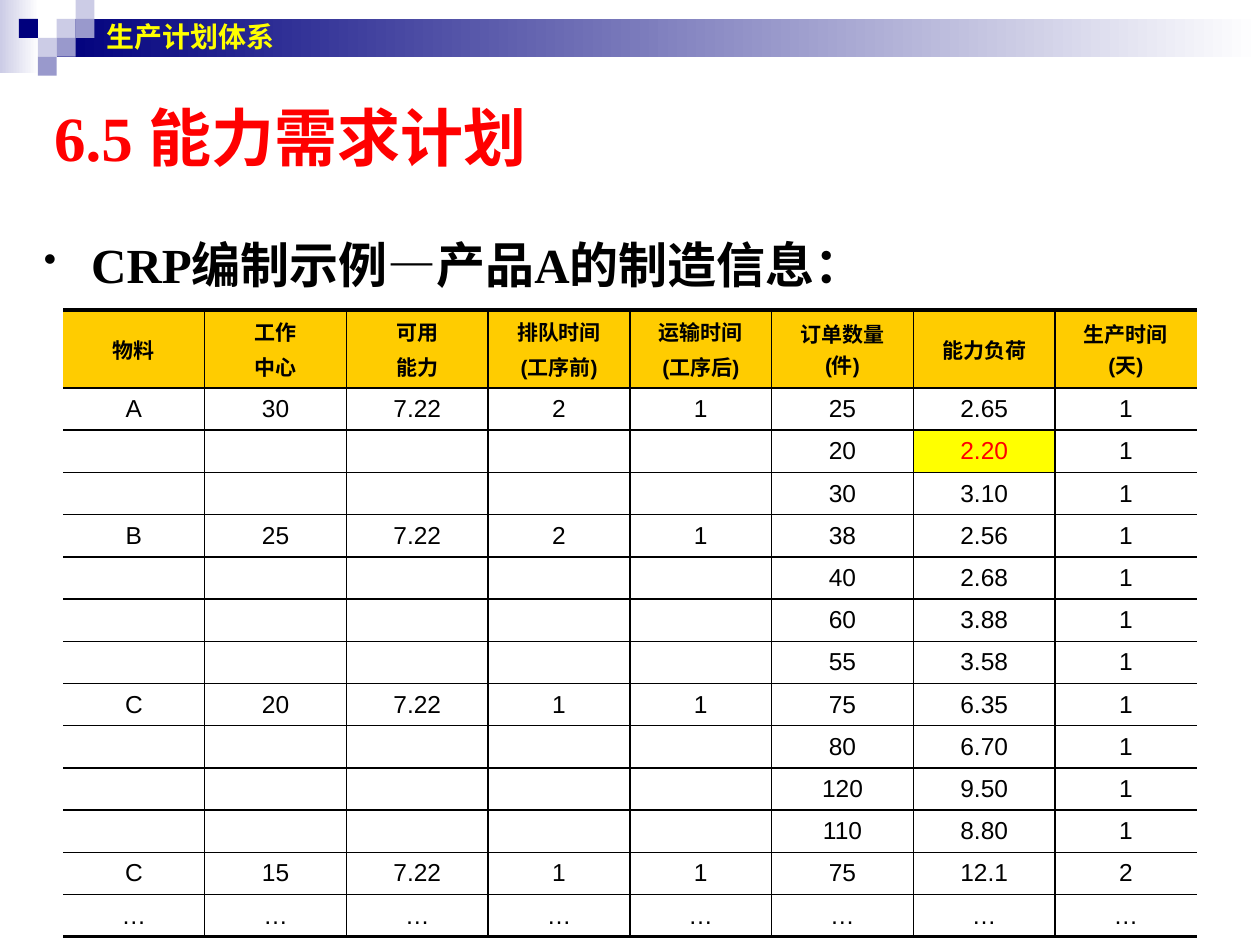
from lxml import etree
from pptx import Presentation
from pptx.dml.color import RGBColor
from pptx.enum import shapes, text
from pptx.oxml import ns
from pptx.util import Pt

COLORS = {
    "navy": "00007D", "violet": "9999CC", "lilac": "CCCCE6", "white": "FFFFFF",
    "red": "FF0000", "yellow": "FFFF00", "gold": "FFCC00", "black": "000000",
}

# Content
SECTION = "生产计划体系"
TITLE = "6.5 能力需求计划"
LEAD = "CRP编制示例—产品A的制造信息："
HEADERS = ["物料", "工作\n中心", "可用\n能力", "排队时间\n(工序前)", "运输时间\n(工序后)",
           "订单数量(件)", "能力负荷", "生产时间(天)"]
# Each routing: material, work centre, capacity, queue, transport; then its orders
ROUTINGS = [
    (["A", "30", "7.22", "2", "1"],
     [("25", "2.65", "1"), ("20", "2.20", "1"), ("30", "3.10", "1")]),
    (["B", "25", "7.22", "2", "1"],
     [("38", "2.56", "1"), ("40", "2.68", "1"), ("60", "3.88", "1"), ("55", "3.58", "1")]),
    (["C", "20", "7.22", "1", "1"],
     [("75", "6.35", "1"), ("80", "6.70", "1"), ("120", "9.50", "1"), ("110", "8.80", "1")]),
    (["C", "15", "7.22", "1", "1"], [("75", "12.1", "2")]),
    (["…"] * 5, [("…", "…", "…")]),
]
HIGHLIGHT = "2.20"

# Header band: left, top, width, height, start colour of the fade to white
FADES = [(0, 0, 22.3, 41.8, "lilac"), (32.4, 10.8, 687.6, 21.6, "navy")]
# Mosaic squares: column, row, colour
SQUARE = 10.8
MOSAIC = [(3, 1, "lilac"), (4, 0, "lilac"), (4, 1, "violet"), (2, 2, "lilac"),
          (1, 1, "navy"), (3, 2, "violet"), (2, 3, "violet")]

# Table geometry; the header row holds two lines of labels
TABLE_LEFT, TABLE_TOP, TABLE_WIDTH = 36, 177.1, 648
HEADER_HEIGHT, ROW_HEIGHT = 44.6, 24.15
THIN, THICK = 1, 2.25


def rgb(color):
    return RGBColor.from_string(COLORS[color])


def style_runs(paragraph, size, font, color, bold):
    for run in paragraph.runs:
        run.font.size, run.font.name, run.font.bold = Pt(size), font, bold
        run.font.color.rgb = rgb(color)


def add_block(slide, left, top, width, height):
    block = slide.shapes.add_shape(shapes.MSO_SHAPE.RECTANGLE,
                                   Pt(left), Pt(top), Pt(width), Pt(height))
    block.shadow.inherit = False
    block.line.fill.background()
    return block


def add_text(slide, box, words, size, font, color, anchor):
    frame = slide.shapes.add_textbox(*map(Pt, box)).text_frame
    frame.word_wrap = True
    frame.vertical_anchor = anchor
    frame.text = words
    style_runs(frame.paragraphs[0], size, font, color, True)
    return frame.paragraphs[0]


def add_bullet(paragraph):
    props = paragraph._p.get_or_add_pPr()
    props.set("marL", str(Pt(27)))
    props.set("indent", str(Pt(-27)))
    color = etree.SubElement(props, ns.qn("a:buClr"))
    etree.SubElement(color, ns.qn("a:srgbClr"), val=COLORS["black"])
    etree.SubElement(props, ns.qn("a:buSzPct"), val="75000")
    etree.SubElement(props, ns.qn("a:buChar"), char="•")


def set_borders(cell, widths):
    """Widths are for left, right, top and bottom; 0 means no line."""
    props = cell._tc.get_or_add_tcPr()
    for place, (side, width) in enumerate(zip("LRTB", widths)):
        line = etree.Element(ns.qn("a:ln" + side), w=str(Pt(width)))
        props.insert(place, line)
        if width:
            fill = etree.SubElement(line, ns.qn("a:solidFill"))
            etree.SubElement(fill, ns.qn("a:srgbClr"), val=COLORS["black"])
        else:
            etree.SubElement(line, ns.qn("a:noFill"))


def fill_cell(cell, words, is_header):
    marked = words == HIGHLIGHT
    size = 12 if is_header else 14
    cell.vertical_anchor = text.MSO_ANCHOR.MIDDLE
    cell.text_frame.text = words
    for i, paragraph in enumerate(cell.text_frame.paragraphs):
        paragraph.alignment = text.PP_ALIGN.CENTER
        if i:
            paragraph.space_before = Pt(2.4)
        style_runs(paragraph, size, "Arial", "red" if marked else "black", is_header)
        if not words:  # keeps empty rows at their set height
            etree.SubElement(paragraph._p, ns.qn("a:endParaRPr"), sz=str(size * 100))
    if is_header or marked:
        cell.fill.solid()
        cell.fill.fore_color.rgb = rgb("gold" if is_header else "yellow")
    else:
        cell.fill.background()


def add_load_table(slide):
    rows = [HEADERS]
    for routing, orders in ROUTINGS:
        for i, order in enumerate(orders):
            rows.append((routing if i == 0 else [""] * len(routing)) + list(order))
    last_row, last_col = len(rows) - 1, len(HEADERS) - 1
    table = slide.shapes.add_table(
        len(rows), len(HEADERS), Pt(TABLE_LEFT), Pt(TABLE_TOP), Pt(TABLE_WIDTH),
        Pt(HEADER_HEIGHT + ROW_HEIGHT * last_row)).table
    table.horz_banding = False
    for column in table.columns:
        column.width = Pt(TABLE_WIDTH / len(HEADERS))
    for r, row in enumerate(rows):
        table.rows[r].height = Pt(ROW_HEIGHT if r else HEADER_HEIGHT)
        for c, words in enumerate(row):
            cell = table.cell(r, c)
            fill_cell(cell, words, r == 0)
            set_borders(cell, (THIN if c else 0, THIN if c < last_col else 0,
                               THIN if r else THICK, THIN if r < last_row else THICK))


def main():
    deck = Presentation()
    deck.slide_width, deck.slide_height = Pt(720), Pt(540)
    slide = deck.slides.add_slide(deck.slide_layouts[6])

    # Header band and mosaic
    for *box, color in FADES:
        fill = add_block(slide, *box).fill
        fill.gradient()
        fill.gradient_angle = 0
        for stop, shade in zip(fill.gradient_stops, (color, "white")):
            stop.color.rgb = rgb(shade)
    for column, row, color in MOSAIC:
        square = add_block(slide, column * SQUARE, row * SQUARE, SQUARE, SQUARE)
        square.fill.solid()
        square.fill.fore_color.rgb = rgb(color)

    # Headings
    middle, top = text.MSO_ANCHOR.MIDDLE, text.MSO_ANCHOR.TOP
    add_text(slide, (23.8, 54, 648, 48.2), TITLE, 36, "Times New Roman", "red", middle)
    lead = add_text(slide, (18, 113.8, 666, 426.2), LEAD, 28, "Times New Roman", "black", top)
    add_bullet(lead)
    lead.line_spacing = 1.5
    add_text(slide, (54, 0, 617.8, 41.8), SECTION, 16, "Arial", "yellow", middle)

    # Capacity load table
    add_load_table(slide)
    deck.save("out.pptx")


if __name__ == "__main__":
    main()
